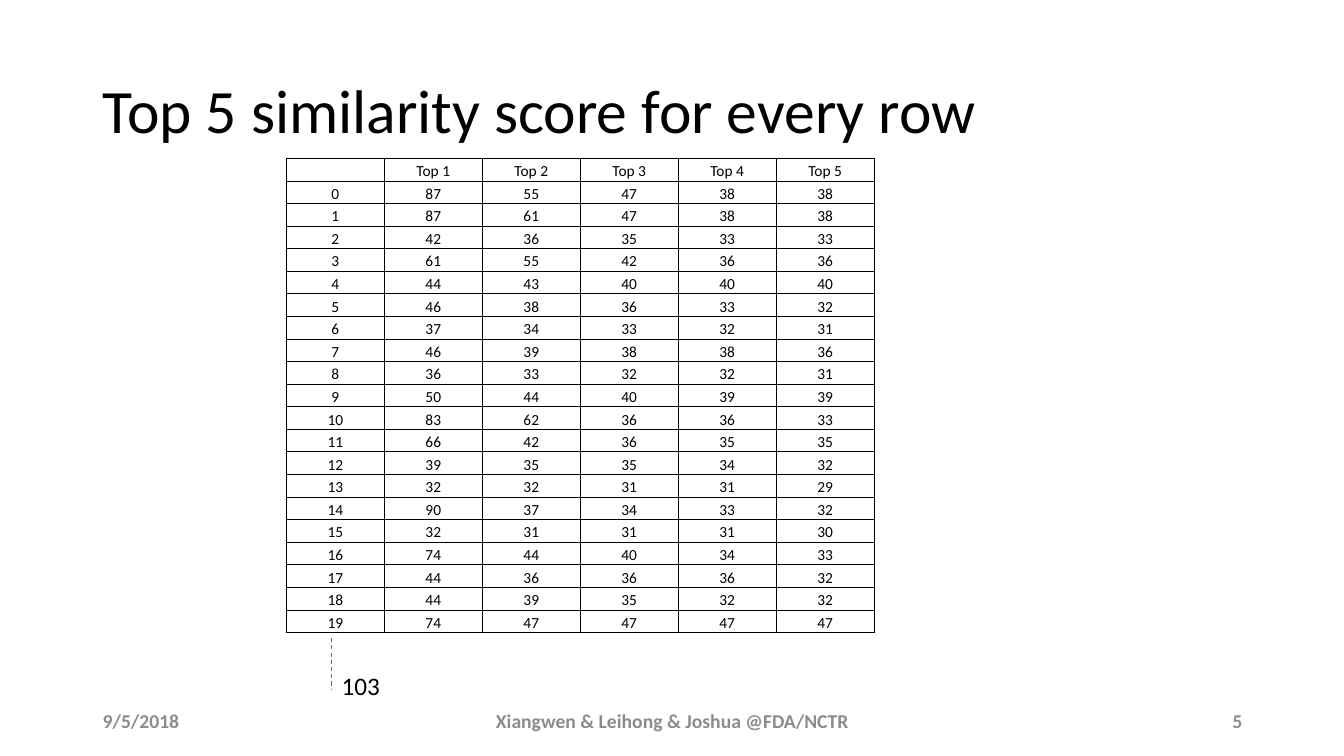
import lxml.etree
import pptx
import pptx.dml.color
import pptx.enum.dml
import pptx.enum.shapes
import pptx.enum.text
import pptx.oxml.ns
import pptx.util

Inches = pptx.util.Inches
Pt = pptx.util.Pt
qn = pptx.oxml.ns.qn
RGBColor = pptx.dml.color.RGBColor
ALIGN = pptx.enum.text.PP_ALIGN
ANCHOR = pptx.enum.text.MSO_ANCHOR

BLACK = RGBColor(0x00, 0x00, 0x00)
GREY = RGBColor(0x8C, 0x8C, 0x8C)
BLUE = RGBColor(0x44, 0x72, 0xC4)
FONT = "Calibri"
CELL_SIZE = 11

TOP_COUNT = 5
SCORES = [
    (87, 55, 47, 38, 38), (87, 61, 47, 38, 38), (42, 36, 35, 33, 33),
    (61, 55, 42, 36, 36), (44, 43, 40, 40, 40), (46, 38, 36, 33, 32),
    (37, 34, 33, 32, 31), (46, 39, 38, 38, 36), (36, 33, 32, 32, 31),
    (50, 44, 40, 39, 39), (83, 62, 36, 36, 33), (66, 42, 36, 35, 35),
    (39, 35, 35, 34, 32), (32, 32, 31, 31, 29), (90, 37, 34, 33, 32),
    (32, 31, 31, 31, 30), (74, 44, 40, 34, 33), (44, 36, 36, 36, 32),
    (44, 39, 35, 32, 32), (74, 47, 47, 47, 47),
]


def write_text(frame, text, size=18, color=BLACK, bold=False,
               align=ALIGN.LEFT, line_spacing=None):
    paragraph = frame.paragraphs[0]
    paragraph.alignment = align
    paragraph.line_spacing = line_spacing
    if not text:
        # An empty cell still needs its text size to keep the row low
        end = lxml.etree.SubElement(paragraph._p, qn("a:endParaRPr"))
        end.set("sz", str(size * 100))
        return
    run = paragraph.add_run()
    run.text = text
    run.font.name = FONT
    run.font.size = Pt(size)
    run.font.bold = bold
    run.font.color.rgb = color


def add_label(slide, text, left, top, width, height, anchor=ANCHOR.MIDDLE, **text_format):
    label = slide.shapes.add_textbox(Inches(left), Inches(top), Inches(width), Inches(height))
    label.text_frame.word_wrap = True
    label.text_frame.vertical_anchor = anchor
    write_text(label.text_frame, text, **text_format)


def add_dashed_line(slide, x, top, bottom):
    line = slide.shapes.add_connector(pptx.enum.shapes.MSO_CONNECTOR.STRAIGHT,
                                      Inches(x), Inches(top), Inches(x), Inches(bottom))
    line.line.color.rgb = BLUE
    line.line.width = Pt(0.75)
    line.line.dash_style = pptx.enum.dml.MSO_LINE.DASH
    lxml.etree.SubElement(line._element.spPr, qn("a:effectLst"))


def add_borders(cell, width=0.5):
    properties = cell._tc.get_or_add_tcPr()
    for side in ("lnL", "lnR", "lnT", "lnB"):
        border = lxml.etree.SubElement(properties, qn(f"a:{side}"), w=str(Pt(width)))
        fill = lxml.etree.SubElement(border, qn("a:solidFill"))
        lxml.etree.SubElement(fill, qn("a:srgbClr"), val=str(BLACK))


def add_score_table(slide, left, top, width, height):
    header = [""] + [f"Top {rank}" for rank in range(1, TOP_COUNT + 1)]
    rows = [header] + [[index, *scores] for index, scores in enumerate(SCORES)]
    table = slide.shapes.add_table(len(rows), len(header), Inches(left), Inches(top),
                                   Inches(width), Inches(height)).table
    table.first_row = False
    table.horz_banding = False
    for row_index, values in enumerate(rows):
        for column_index, value in enumerate(values):
            cell = table.cell(row_index, column_index)
            cell.margin_left = cell.margin_right = cell.margin_top = Inches(0.01)
            cell.margin_bottom = Inches(0)
            cell.vertical_anchor = ANCHOR.BOTTOM
            add_borders(cell)
            cell.fill.background()
            write_text(cell.text_frame, str(value), size=CELL_SIZE, align=ALIGN.CENTER)


def main():
    deck = pptx.Presentation()
    deck.slide_width = Inches(13.33)
    deck.slide_height = Inches(7.5)
    slide = deck.slides.add_slide(deck.slide_layouts[6])

    # Title
    add_label(slide, "Top 5 similarity score for every row", 0.92, 0.4, 11.5, 1.45,
              size=44, line_spacing=0.9)

    # Footer: date, authors, slide number
    for text, left, width, align in (
        ("9/5/2018", 0.92, 3, ALIGN.LEFT),
        ("Xiangwen & Leihong & Joshua @FDA/NCTR", 4.42, 4.5, ALIGN.CENTER),
        ("5", 9.42, 3, ALIGN.RIGHT),
    ):
        add_label(slide, text, left, 6.95, width, 0.4,
                  size=14, color=GREY, bold=True, align=align)

    # Continuation of the rows down to the last one
    add_dashed_line(slide, 3.29, 6.33, 6.85)
    add_label(slide, "103", 3.29, 6.6, 1, 0.4, anchor=ANCHOR.TOP)

    # Scores
    add_score_table(slide, 2.84, 1.57, 5.83, 4.71)

    deck.save("out.pptx")


if __name__ == "__main__":
    main()
